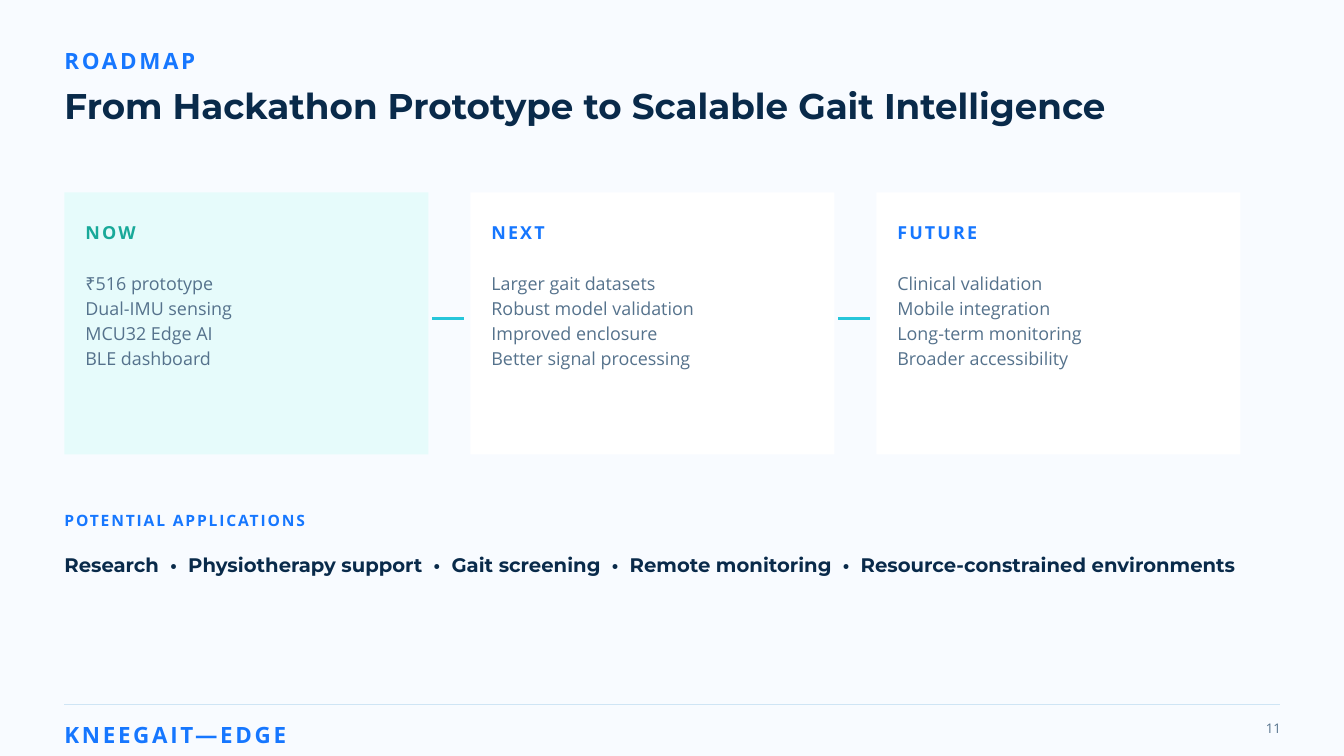
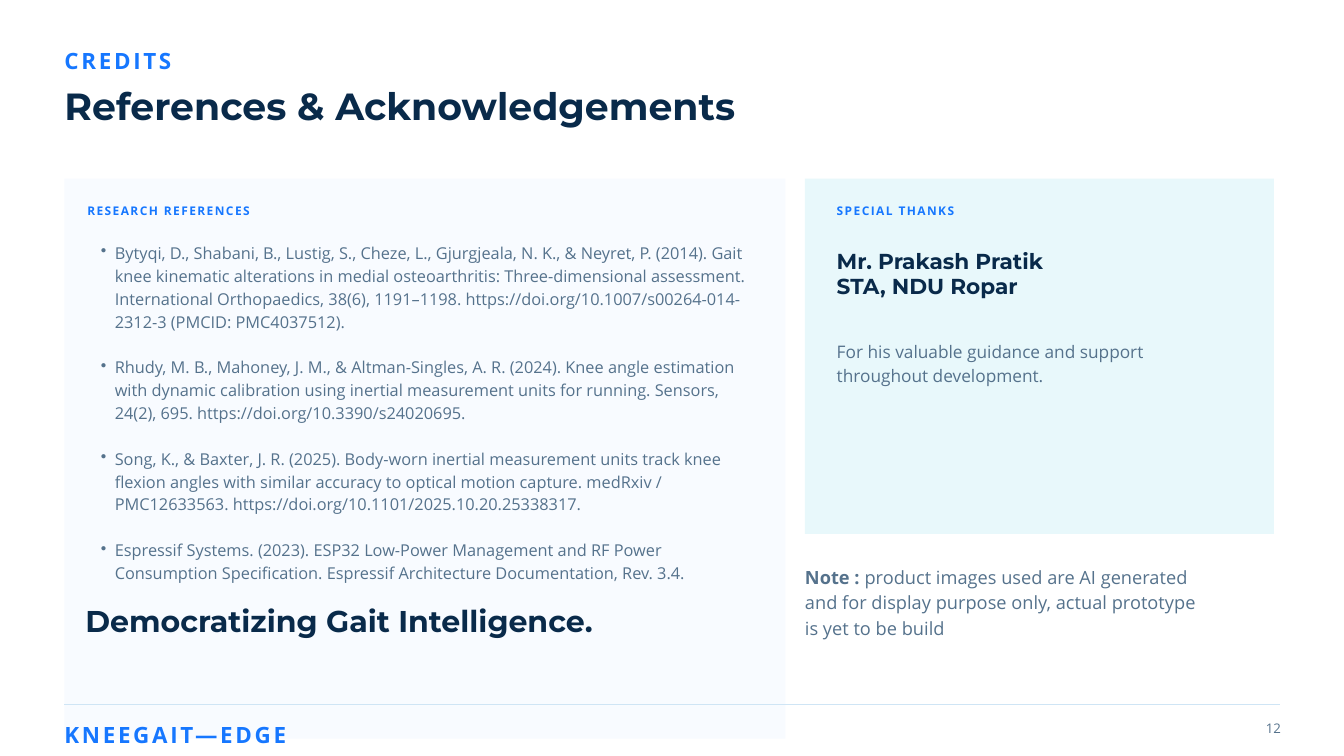
from lxml.etree import SubElement
from pptx import Presentation
from pptx.dml.color import RGBColor
from pptx.enum.shapes import MSO_CONNECTOR, MSO_SHAPE
from pptx.enum.text import MSO_AUTO_SIZE, PP_ALIGN
from pptx.oxml.ns import qn
from pptx.util import Pt

ROADMAP = {
    "kicker": "ROADMAP",
    "title": "From Hackathon Prototype to Scalable Gait Intelligence",
    "stages": [
        ("NOW", "mint", "green",
         ["₹516 prototype", "Dual-IMU sensing", "MCU32 Edge AI", "BLE dashboard"]),
        ("NEXT", "white", "blue",
         ["Larger gait datasets", "Robust model validation",
          "Improved enclosure", "Better signal processing"]),
        ("FUTURE", "white", "blue",
         ["Clinical validation", "Mobile integration",
          "Long-term monitoring", "Broader accessibility"]),
    ],
    "applications_label": "POTENTIAL APPLICATIONS",
    "applications": ["Research", "Physiotherapy support", "Gait screening",
                     "Remote monitoring", "Resource-constrained environments"],
}
CREDITS = {
    "kicker": "CREDITS",
    "title": "References & Acknowledgements",
    "references_label": "RESEARCH REFERENCES",
    "references": [
        "Bytyqi, D., Shabani, B., Lustig, S., Cheze, L., Gjurgjeala, N. K., & Neyret, P. (2014). "
        "Gait knee kinematic alterations in medial osteoarthritis: Three-dimensional assessment. "
        "International Orthopaedics, 38(6), 1191–1198. "
        "https://doi.org/10.1007/s00264-014-2312-3 (PMCID: PMC4037512).",
        "Rhudy, M. B., Mahoney, J. M., & Altman-Singles, A. R. (2024). Knee angle estimation "
        "with dynamic calibration using inertial measurement units for running. "
        "Sensors, 24(2), 695. https://doi.org/10.3390/s24020695.",
        "Song, K., & Baxter, J. R. (2025). Body-worn inertial measurement units track knee "
        "flexion angles with similar accuracy to optical motion capture. "
        "medRxiv / PMC12633563. https://doi.org/10.1101/2025.10.20.25338317.",
        "Espressif Systems. (2023). ESP32 Low-Power Management and RF Power Consumption "
        "Specification. Espressif Architecture Documentation, Rev. 3.4.",
    ],
    "closing": "Democratizing Gait Intelligence.",
    "thanks_label": "SPECIAL THANKS",
    "mentor": ["Mr. Prakash Pratik", "STA, NDU Ropar"],
    "thanks": "For his valuable guidance and support throughout development.",
    "note_label": "Note : ",
    "note": "product images used are AI generated and for display purpose only, "
            "actual prototype is yet to be build",
}
PROJECT = "KNEEGAIT—EDGE"

COLORS = {
    "blue": "1677FF", "navy": "092A4A", "slate": "55728C", "green": "18A999",
    "cyan": "26C6DA", "rule": "CFE5F5", "mint": "E6FBFB", "ice": "E8F8FB",
    "mist": "F8FBFF", "white": "FFFFFF",
}
HEADING, BODY = "Montserrat", "Open Sans"

# style: font, size, line height, colour, bold, letter spacing
STYLES = {
    "kicker": (BODY, 24, 33.6, "blue", True, 2.9),
    "roadmap_title": (HEADING, 38.2, 41.3, "navy", True, 0),
    "credits_title": (HEADING, 40.5, 43.7, "navy", True, 0),
    "stage": (BODY, 19.2, 26.9, "blue", True, 2.3),
    "stage_item": (BODY, 19.2, 26.9, "slate", False, 0),
    "section": (BODY, 16.7, 23.4, "blue", True, 2),
    "applications": (HEADING, 21, 24.1, "navy", True, 0),
    "panel_label": (BODY, 12.8, 17.8, "blue", True, 1.5),
    "reference": (BODY, 17.5, 24.5, "slate", False, 0),
    "mentor": (HEADING, 23.2, 26.7, "navy", True, 0),
    "thanks": (BODY, 18.5, 25.9, "slate", False, 0),
    "closing": (HEADING, 32.2, 34.8, "navy", True, 0),
    "note_label": (BODY, 19.5, 27.3, "slate", True, 0),
    "note": (BODY, 19.5, 27.3, "slate", False, 0),
    "page": (BODY, 14.2, 19.2, "slate", False, 0),
}
WIDTH, HEIGHT = 1440, 810
MARGIN = 69


def rgb(color):
    return RGBColor.from_string(COLORS[color])


def style_run(run, style, color=None):
    font, size, _, default_color, bold, tracking = STYLES[style]
    run.font.name = font
    run.font.size = Pt(size)
    run.font.bold = bold
    run.font.color.rgb = rgb(color or default_color)
    if tracking:
        run._r.get_or_add_rPr().set("spc", str(round(tracking * 100)))


def add_text(slide, lines, style, left, top, width, color=None):
    line_height = STYLES[style][2]
    box = slide.shapes.add_textbox(Pt(left), Pt(top), Pt(width),
                                   Pt(line_height * len(lines)))
    frame = box.text_frame
    frame.margin_left = frame.margin_right = frame.margin_top = frame.margin_bottom = 0
    frame.word_wrap = True
    frame.auto_size = MSO_AUTO_SIZE.SHAPE_TO_FIT_TEXT
    frame.text = "\n".join(lines)
    for paragraph in frame.paragraphs:
        paragraph.line_spacing = Pt(line_height)
        for run in paragraph.runs:
            style_run(run, style, color)
    return frame.paragraphs


def add_panel(slide, left, top, width, height, color):
    panel = slide.shapes.add_shape(MSO_SHAPE.RECTANGLE, Pt(left), Pt(top),
                                   Pt(width), Pt(height))
    panel.shadow.inherit = False
    panel.fill.solid()
    panel.fill.fore_color.rgb = rgb(color)
    panel.line.fill.background()


def add_rule(slide, left, right, y, color, weight):
    rule = slide.shapes.add_connector(MSO_CONNECTOR.STRAIGHT, Pt(left), Pt(y),
                                      Pt(right), Pt(y))
    rule.line.color.rgb = rgb(color)
    rule.line.width = Pt(weight)
    SubElement(rule._element.spPr, qn("a:effectLst"))


def add_bullet(paragraph, indent, hanging):
    properties = paragraph._p.get_or_add_pPr()
    properties.set("marL", str(Pt(indent)))
    properties.set("indent", str(-Pt(hanging)))
    SubElement(properties, qn("a:buChar")).set("char", "•")


def start_slide(deck, content, background, title_style):
    slide = deck.slides.add_slide(deck.slide_layouts[6])
    slide.background.fill.solid()
    slide.background.fill.fore_color.rgb = rgb(background)
    add_text(slide, [content["kicker"]], "kicker", MARGIN, 46, 225)
    add_text(slide, [content["title"]], title_style, MARGIN, 94, 1155)
    return slide


def add_footer(slide, page):
    add_rule(slide, MARGIN, WIDTH - MARGIN, 755, "rule", 0.75)
    add_text(slide, [PROJECT], "kicker", MARGIN, 767.5, 269)
    number, = add_text(slide, [str(page)], "page", 1304.5, 769, 68)
    number.alignment = PP_ALIGN.RIGHT


def build_roadmap(deck):
    slide = start_slide(deck, ROADMAP, "mist", "roadmap_title")
    top, width, height, gap, inset = 206, 390, 281, 45, 22.5
    for index, (stage, fill, accent, items) in enumerate(ROADMAP["stages"]):
        left = MARGIN + index * (width + gap)
        if index:
            add_rule(slide, left - gap + 4, left - 7, 341, "cyan", 3)
        add_panel(slide, left, top, width, height, fill)
        add_text(slide, [stage], "stage", left + inset, top + 28, 338, accent)
        add_text(slide, items, "stage_item", left + inset, top + 82, 338)
    add_text(slide, [ROADMAP["applications_label"]], "section", MARGIN, 544.5, 375)
    add_text(slide, ["  •  ".join(ROADMAP["applications"])], "applications",
             MARGIN, 593.5, 1275)
    add_footer(slide, 11)


def build_credits(deck):
    slide = start_slide(deck, CREDITS, "white", "credits_title")
    top, label_top = 191.5, 216
    references_left, thanks_left, thanks_text = 93.5, 862.5, 896.5

    add_panel(slide, MARGIN, top, 772.5, 600, "mist")
    add_text(slide, [CREDITS["references_label"]], "panel_label",
             references_left, label_top, 375)
    references = add_text(slide, CREDITS["references"], "reference",
                          references_left, 257, 713)
    for reference in references:
        reference.level = 1
        if reference is not references[-1]:
            reference.space_after = Pt(STYLES["reference"][2])
        add_bullet(reference, 29.5, 15)

    add_panel(slide, thanks_left, top, 502.5, 380.5, "ice")
    add_text(slide, [CREDITS["thanks_label"]], "panel_label", thanks_text, label_top, 300)
    add_text(slide, CREDITS["mentor"], "mentor", thanks_text, 267, 360)
    add_text(slide, [CREDITS["thanks"]], "thanks", thanks_text, 362, 375)

    add_text(slide, [CREDITS["closing"]], "closing", 91.5, 649.5, 750)
    note, = add_text(slide, [CREDITS["note_label"]], "note_label", thanks_left, 602.5, 426)
    explanation = note.add_run()
    explanation.text = CREDITS["note"]
    style_run(explanation, "note")
    add_footer(slide, 12)


def main():
    deck = Presentation()
    deck.slide_width, deck.slide_height = Pt(WIDTH), Pt(HEIGHT)
    build_roadmap(deck)
    build_credits(deck)
    deck.save("out.pptx")


if __name__ == "__main__":
    main()
